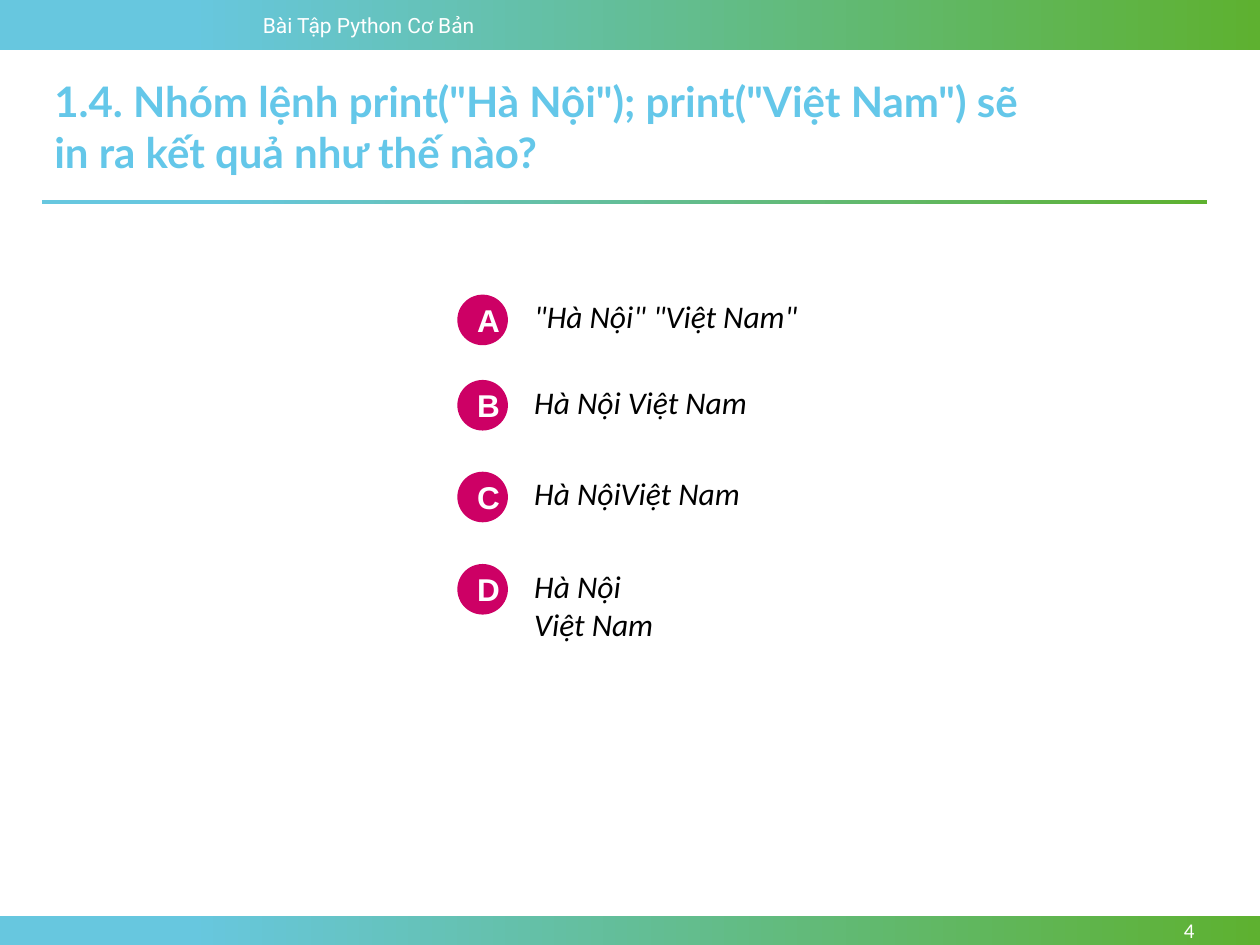
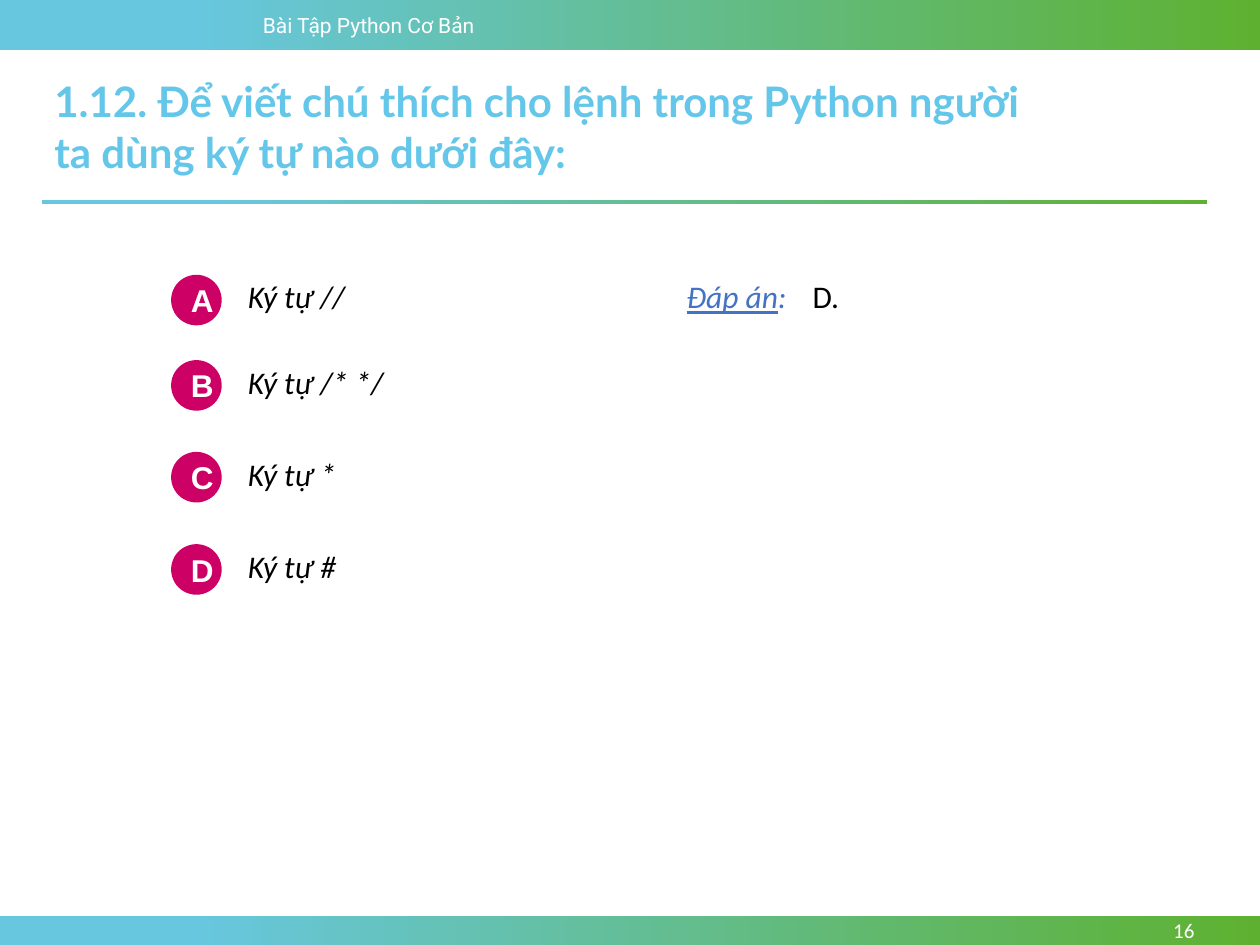
from dataclasses import dataclass

from pptx import Presentation
from pptx.dml.color import RGBColor as Rgb
from pptx.enum.shapes import MSO_SHAPE as Preset
from pptx.enum.text import MSO_ANCHOR as Anchor, MSO_AUTO_SIZE as AutoSize, PP_ALIGN as Align
from pptx.util import Cm, Pt


@dataclass(frozen=True)
class Theme:
    sky: Rgb = Rgb.from_string("67C7DF")
    leaf: Rgb = Rgb.from_string("5EB130")
    heading: Rgb = Rgb.from_string("64C7E9")
    badge: Rgb = Rgb.from_string("CD0065")
    answer: Rgb = Rgb.from_string("4472C4")
    ink: Rgb = Rgb.from_string("000000")
    paper: Rgb = Rgb.from_string("FFFFFF")
    title_size: Pt = Pt(24)
    option_size: Pt = Pt(18)
    small_size: Pt = Pt(12)
    title_font: str = "Lato"
    header_font: str = "Roboto"
    body_font: str = "Calibri"
    badge_font: str = "Arial"


theme = Theme()


def style(font, name, size, color, bold=False, italic=False):
    font.name, font.size, font.bold, font.italic = name, size, bold, italic
    font.color.rgb = color


def add_band(slide, left, top, width, height):
    band = slide.shapes.add_shape(Preset.RECTANGLE, Cm(left), Cm(top), Cm(width), Cm(height))
    band.shadow.inherit = False
    band.line.fill.background()
    band.fill.gradient()
    band.fill.gradient_angle = 0
    for stop, color, position in zip(band.fill.gradient_stops, (theme.sky, theme.leaf), (0.15, 1)):
        stop.color.rgb = color
        stop.position = position
    return band


questions = [
    {
        "number": "4",
        "title": '1.4. Nhóm lệnh print("Hà Nội"); print("Việt Nam") sẽ in ra kết quả như thế nào?',
        "options": ['"Hà Nội" "Việt Nam"', "Hà Nội Việt Nam", "Hà NộiViệt Nam", "Hà Nội\vViệt Nam"],
        "left": 9.22,
        "top": 5.94,
        "answer": None,
    },
    {
        "number": "16",
        "title": "1.12. Để viết chú thích cho lệnh trong Python người ta dùng ký tự nào dưới đây:",
        "options": ["Ký tự //", "Ký tự /* */", "Ký tự *", "Ký tự #"],
        "left": 3.45,
        "top": 5.54,
        "answer": "D.",
    },
]
option_offsets = (0, 1.72, 3.57, 5.43)
badge_size = 1.02
line_height = 0.76
text_inset = 0.25

deck = Presentation()
deck.slide_width, deck.slide_height = Cm(25.4), Cm(19.05)
layout = deck.slide_layouts[5]
layout_title, *layout_footers = layout.placeholders
for footer in layout_footers:
    footer.element.getparent().remove(footer.element)
layout_title.left, layout_title.top = Cm(0.84), Cm(1.4)
layout_title.width, layout_title.height = Cm(20.14), Cm(2.31)

slides = [deck.slides.add_slide(layout) for _ in questions]

top_band = add_band(slides[0], 0, 0, 25.4, 1.02)
bottom_band = add_band(slides[0], 0, 18.47, 25.4, 0.58)
course = slides[0].shapes.add_textbox(Cm(5.05), Cm(0.13), Cm(5.72), Cm(0.76))
course.text_frame.word_wrap = True
course.text_frame.text = "Bài Tập Python Cơ Bản"
style(course.text_frame.paragraphs[0].font, theme.header_font, theme.small_size, theme.paper)
for shared in (top_band, bottom_band, course):
    layout.shapes.element.append(shared.element)

for slide, question in zip(slides, questions):
    heading = slide.shapes.title.text_frame
    heading.text = question["title"]
    heading.auto_size = AutoSize.NONE
    heading.vertical_anchor = Anchor.TOP
    heading.paragraphs[0].alignment = Align.LEFT
    style(heading.paragraphs[0].font, theme.title_font, theme.title_size, theme.heading, bold=True)
    add_band(slide, 0.84, 4.03, 23.5, 0.08)

    page = slide.shapes.add_textbox(Cm(22), Cm(18.47), Cm(2.33), Cm(0.58)).text_frame
    page.word_wrap = True
    page.vertical_anchor = Anchor.MIDDLE
    page.text = question["number"]
    page.paragraphs[0].alignment = Align.RIGHT
    style(page.paragraphs[0].font, theme.body_font, theme.small_size, theme.paper)

    for letter, option, offset in zip("ABCD", question["options"], option_offsets):
        top = question["top"] + offset
        badge = slide.shapes.add_shape(
            Preset.OVAL, Cm(question["left"]), Cm(top), Cm(badge_size), Cm(badge_size))
        badge.shadow.inherit = False
        badge.fill.solid()
        badge.fill.fore_color.rgb = theme.badge
        badge.line.fill.background()
        badge.text_frame.text = letter
        badge.text_frame.vertical_anchor = Anchor.MIDDLE
        badge.text_frame.paragraphs[0].alignment = Align.CENTER
        style(badge.text_frame.paragraphs[0].font, theme.badge_font, theme.option_size,
              theme.paper, bold=True)

        height = text_inset + line_height * (1 + option.count("\v"))
        choice = slide.shapes.add_textbox(
            Cm(question["left"] + 1.3), Cm(top - 0.07), Cm(7), Cm(height)).text_frame
        choice.word_wrap = True
        choice.text = option
        style(choice.paragraphs[0].font, theme.body_font, theme.option_size, theme.ink, italic=True)

    if question["answer"]:
        solution = slide.shapes.add_textbox(
            Cm(13.59), Cm(question["top"] - 0.07), Cm(3.6), Cm(1.02)).text_frame
        solution.word_wrap = False
        for text, color, italic, underline in (
            ("Đáp án", theme.answer, True, True),
            (":\t", theme.answer, True, False),
            (question["answer"], theme.ink, False, False),
        ):
            run = solution.paragraphs[0].add_run()
            run.text = text
            style(run.font, theme.body_font, theme.option_size, color, italic=italic)
            run.font.underline = underline

deck.save("out.pptx")
